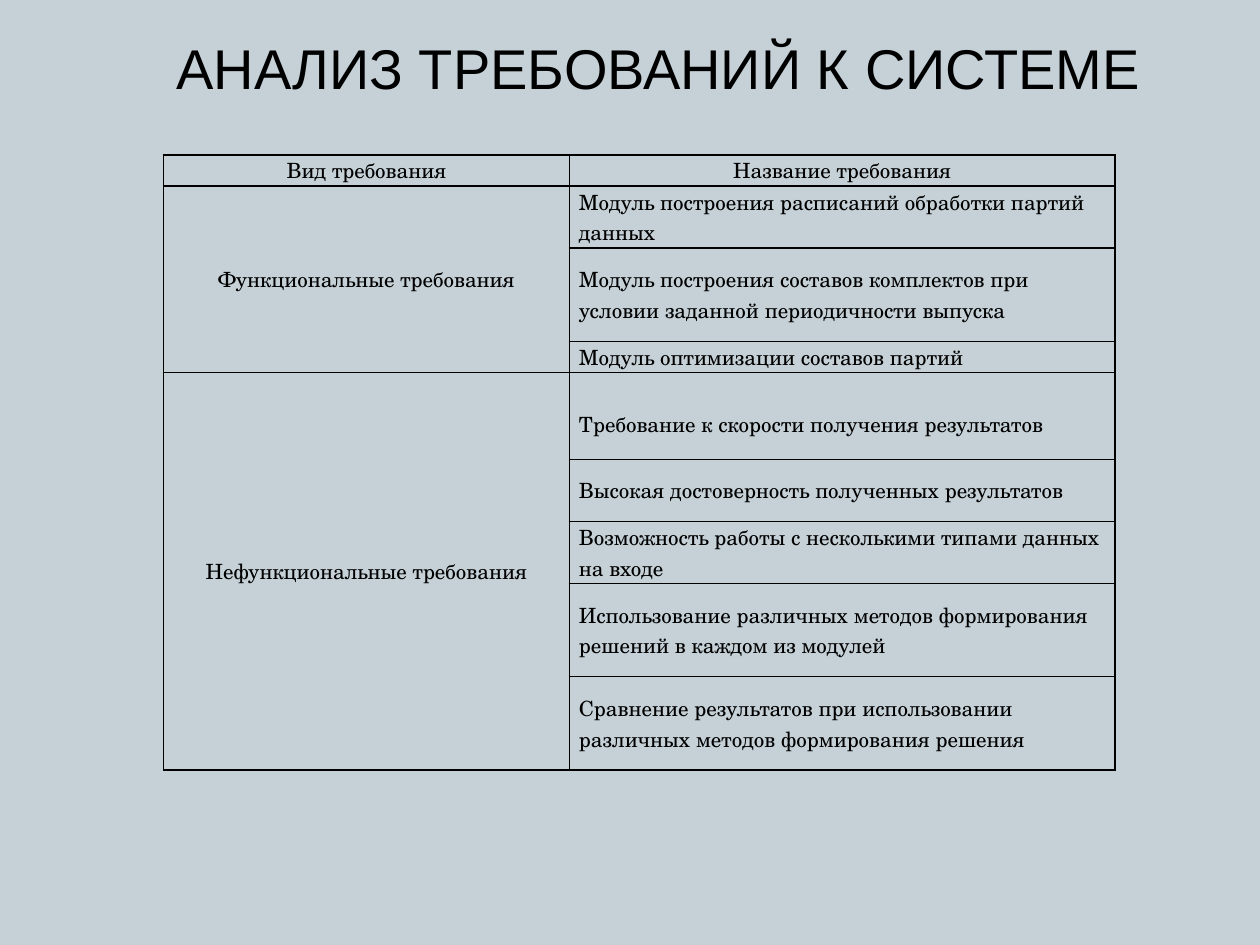
from dataclasses import dataclass

from lxml.etree import SubElement
from pptx import Presentation
from pptx.dml.color import RGBColor
from pptx.enum.text import MSO_ANCHOR, MSO_AUTO_SIZE, PP_ALIGN
from pptx.oxml.ns import qn
from pptx.util import Cm, Pt


@dataclass(frozen=True)
class Theme:
    background: RGBColor = RGBColor(0xC5, 0xD1, 0xD7)
    ink: RGBColor = RGBColor(0, 0, 0)
    title_font: str = "Arial"
    table_font: str = "TeX Gyre Schola"
    title_size: Pt = Pt(32)
    table_size: Pt = Pt(12)
    border: Pt = Pt(1)


@dataclass(frozen=True)
class Box:
    left: Cm
    top: Cm
    width: Cm
    height: Cm


THEME = Theme()
TITLE = "АНАЛИЗ ТРЕБОВАНИЙ К СИСТЕМЕ"
HEADINGS = ("Вид требования", "Название требования")
COLUMN_WIDTHS = (Cm(8.18), Cm(11))
HEADER_HEIGHT = Cm(0.63)
# Each requirement: wording, row height, line spacing
GROUPS = {
    "Функциональные требования": (
        ("Модуль построения расписаний обработки партий данных", Cm(1.25), 1),
        ("Модуль построения составов комплектов при условии заданной "
         "периодичности выпуска", Cm(1.88), 1),
        ("Модуль оптимизации составов партий", Cm(0.63), 1),
    ),
    "Нефункциональные требования": (
        ("Требование к скорости получения результатов", Cm(1.75), 1.5),
        ("Высокая достоверность полученных результатов", Cm(1.25), 1),
        ("Возможность работы с несколькими типами данных на входе", Cm(1.25), 1),
        ("Использование различных методов формирования решений "
         "в каждом из модулей", Cm(1.88), 1),
        ("Сравнение результатов при использовании различных методов "
         "формирования решения", Cm(1.88), 1),
    ),
}


def add_run(paragraph, text, font_name, size):
    run = paragraph.add_run()
    run.text = text
    run.font.name = font_name
    run.font.size = size
    run.font.color.rgb = THEME.ink


def place_title(slide, box):
    title = slide.shapes.title
    title.left, title.top = box.left, box.top
    title.width, title.height = box.width, box.height
    frame = title.text_frame
    frame.word_wrap = True
    frame.auto_size = MSO_AUTO_SIZE.NONE
    frame.vertical_anchor = MSO_ANCHOR.MIDDLE
    paragraph = frame.paragraphs[0]
    paragraph.alignment = PP_ALIGN.LEFT
    add_run(paragraph, TITLE, THEME.title_font, THEME.title_size)


def format_cell(cell):
    """Give the cell its borders, margins and empty fill."""
    properties = cell._tc.get_or_add_tcPr()
    for side in ("a:lnL", "a:lnR", "a:lnT", "a:lnB"):
        line = SubElement(properties, qn(side), w=str(THEME.border))
        fill = SubElement(line, qn("a:solidFill"))
        SubElement(fill, qn("a:srgbClr"), val=str(THEME.ink))
    cell.fill.background()
    cell.margin_left = cell.margin_right = Cm(0.19)
    cell.margin_top = cell.margin_bottom = 0
    cell.vertical_anchor = MSO_ANCHOR.MIDDLE


def write_cell(cell, text, alignment=PP_ALIGN.CENTER, line_spacing=1):
    paragraph = cell.text_frame.paragraphs[0]
    paragraph.alignment = alignment
    paragraph.line_spacing = line_spacing
    add_run(paragraph, text, THEME.table_font, THEME.table_size)


def add_requirements_table(slide, box):
    row_count = 1 + sum(len(group) for group in GROUPS.values())
    table = slide.shapes.add_table(
        row_count, len(HEADINGS), box.left, box.top, box.width, box.height
    ).table
    table.first_row = table.horz_banding = False
    for column, width in zip(table.columns, COLUMN_WIDTHS):
        column.width = width
    for cell in table.iter_cells():
        format_cell(cell)
        cell.text_frame.paragraphs[0].font.size = THEME.table_size

    table.rows[0].height = HEADER_HEIGHT
    for column, heading in enumerate(HEADINGS):
        write_cell(table.cell(0, column), heading)

    row = 1
    for group, requirements in GROUPS.items():
        group_cell = table.cell(row, 0)
        group_cell.merge(table.cell(row + len(requirements) - 1, 0))
        write_cell(group_cell, group)
        for text, height, spacing in requirements:
            table.rows[row].height = height
            write_cell(table.cell(row, 1), text, PP_ALIGN.LEFT, spacing)
            row += 1


def main():
    presentation = Presentation()
    presentation.slide_width, presentation.slide_height = Cm(25.4), Cm(19.05)
    slide = presentation.slides.add_slide(presentation.slide_layouts[5])
    slide.background.fill.solid()
    slide.background.fill.fore_color.rgb = THEME.background
    place_title(slide, Box(Cm(3.3), Cm(0.53), Cm(20.45), Cm(1.63)))
    add_requirements_table(slide, Box(Cm(3.3), Cm(3.12), Cm(19.18), Cm(12.4)))
    presentation.save("out.pptx")


if __name__ == "__main__":
    main()
